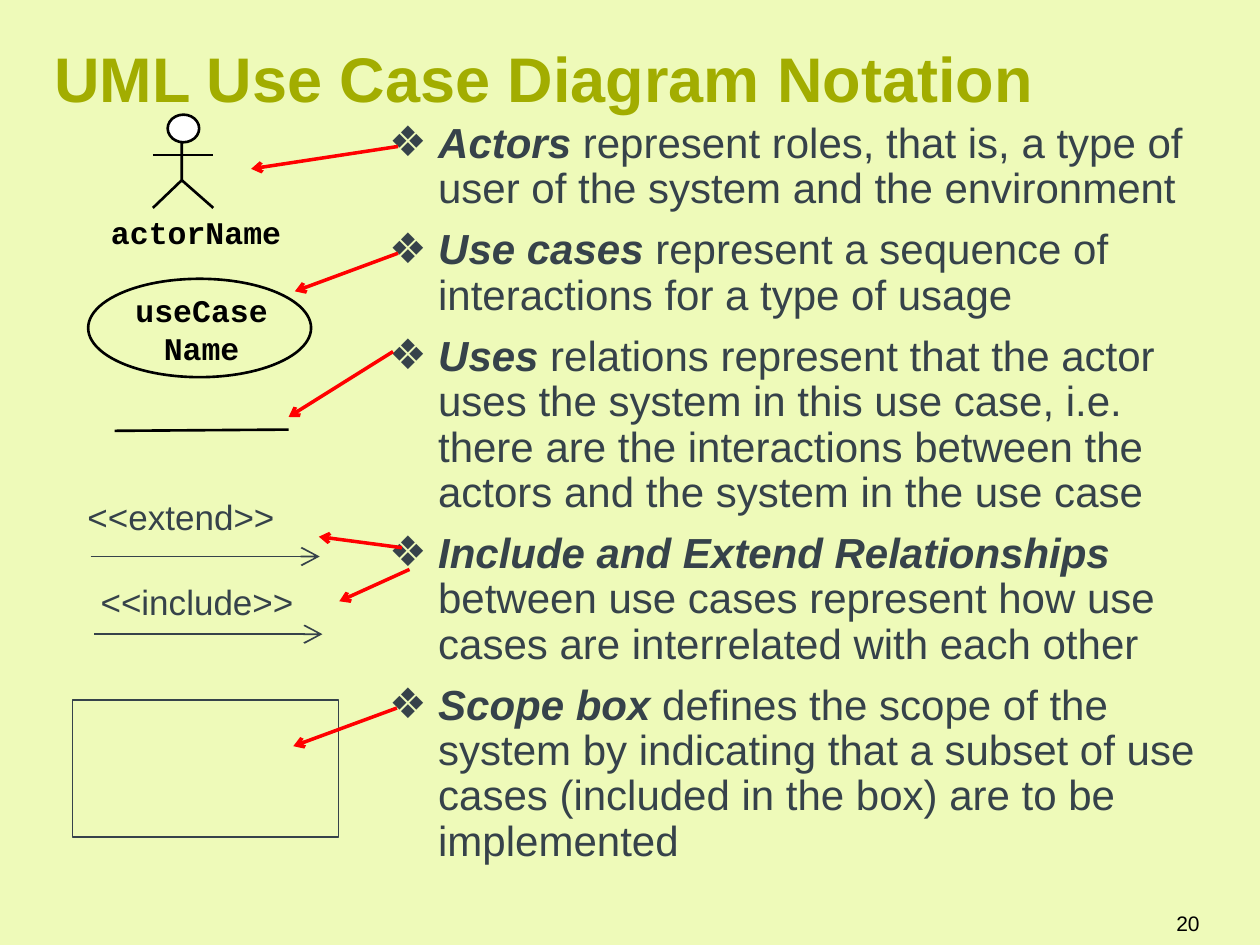
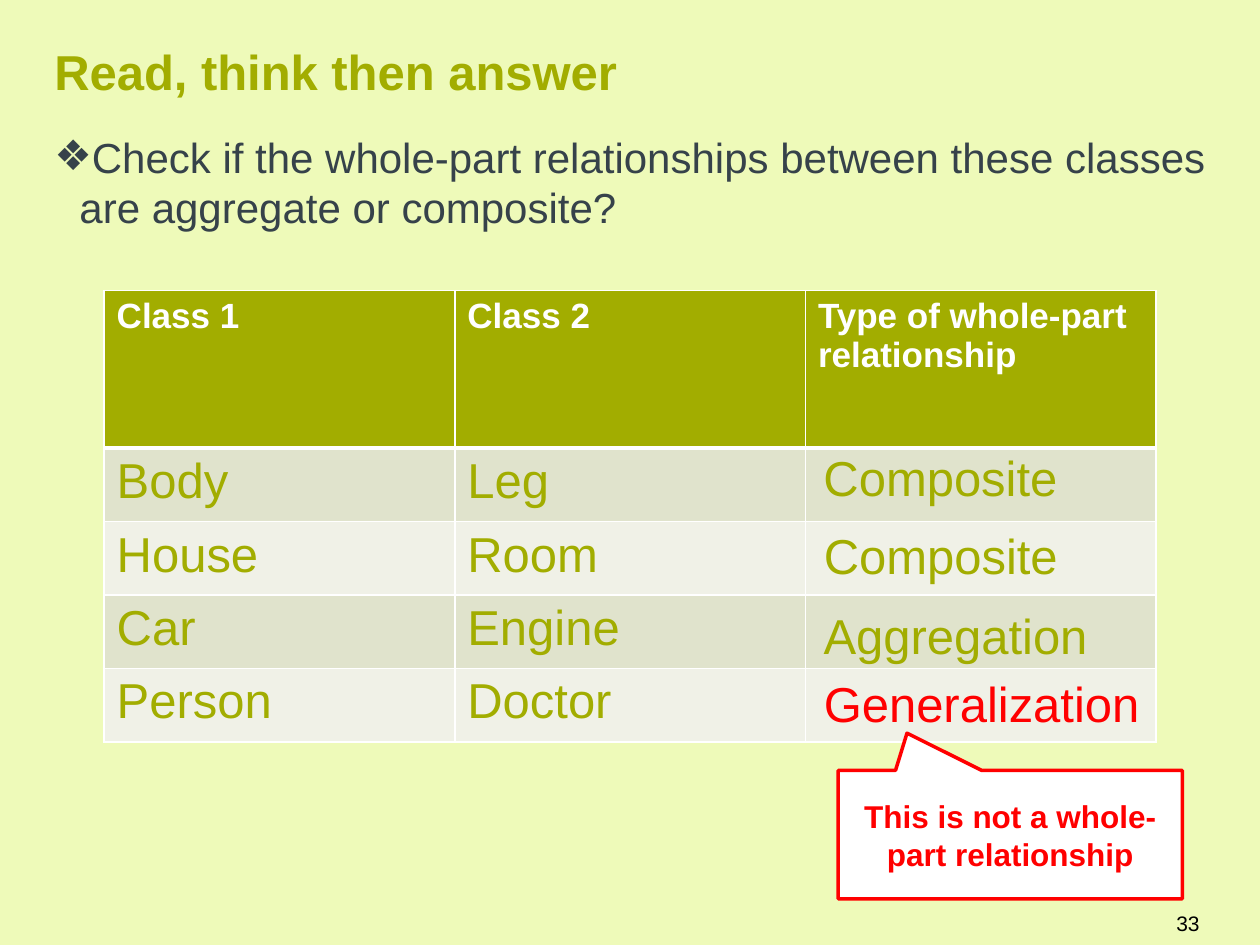
from dataclasses import dataclass

from lxml import etree
from pptx import Presentation
from pptx.dml.color import RGBColor
from pptx.enum import shapes, text
from pptx.oxml import ns
from pptx.util import Pt

COLORS = {
    "background": "EEFAB9", "accent": "A2AD00", "body": "36424A",
    "black": "000000", "white": "FFFFFF", "red": "FF0000",
    "band_dark": "E0E3CC", "band_light": "F0F1E7",
}
SANS, MONO = "Arial", "Courier New"
LEFT, TEXT_WIDTH = 31, 666
ALIGN = text.PP_ALIGN
TOP, MIDDLE = text.MSO_ANCHOR.TOP, text.MSO_ANCHOR.MIDDLE


@dataclass(frozen=True)
class Box:
    x: float
    y: float
    w: float
    h: float

    def lengths(self) -> tuple:
        return Pt(self.x), Pt(self.y), Pt(self.w), Pt(self.h)


@dataclass(frozen=True)
class Style:
    size: float
    color: str = "body"
    bold: bool = False
    font: str = SANS


@dataclass(frozen=True)
class Line:
    x1: float
    y1: float
    x2: float
    y2: float
    color: str = "black"
    width: float = 1.5
    head: str = ""


TITLE_MARGINS = (0, 3.6, 7.2, 3.6)
BOX_MARGINS = (7.2, 3.6, 7.2, 3.6)
NO_MARGINS = (0, 0, 0, 0)
BULLET_STYLE = Style(24)


@dataclass(frozen=True)
class Label:
    words: str
    box: Box
    style: Style
    align: ALIGN = ALIGN.LEFT
    margins: tuple = BOX_MARGINS
    anchor: text.MSO_ANCHOR = TOP


@dataclass(frozen=True)
class BulletLayout:
    box: Box
    indent: float
    before: float
    spacing: float


# Shared helpers
def rgb(name: str) -> RGBColor:
    return RGBColor.from_string(COLORS[name])


def paint(fill, color: str) -> None:
    fill.solid()
    fill.fore_color.rgb = rgb(color)


def place(sp, box: Box) -> None:
    sp.left, sp.top, sp.width, sp.height = box.lengths()


def format_run(r, style: Style) -> None:
    r.font.name, r.font.size, r.font.bold = style.font, Pt(style.size), style.bold
    r.font.color.rgb = rgb(style.color)


def set_frame(tf, margins: tuple, anchor) -> None:
    tf.word_wrap, tf.auto_size = True, text.MSO_AUTO_SIZE.NONE
    tf.vertical_anchor = anchor
    tf.margin_left, tf.margin_top, tf.margin_right, tf.margin_bottom = map(Pt, margins)


def write(tf, words: str, style: Style, align=ALIGN.LEFT) -> None:
    tf.text = words
    p = tf.paragraphs[0]
    p.alignment = align
    for r in p.runs:
        format_run(r, style)


def add_label(s, label: Label) -> None:
    tf = s.shapes.add_textbox(*label.box.lengths()).text_frame
    set_frame(tf, label.margins, label.anchor)
    write(tf, label.words, label.style, label.align)


def add_line(s, line: Line) -> None:
    sp = s.shapes.add_connector(shapes.MSO_CONNECTOR.STRAIGHT, Pt(line.x1), Pt(line.y1),
                                Pt(line.x2), Pt(line.y2))
    sp.line.color.rgb, sp.line.width = rgb(line.color), Pt(line.width)
    if line.head:
        etree.SubElement(sp.line._get_or_add_ln(), ns.qn("a:tailEnd"), type="arrow",
                         w=line.head, len=line.head)
    etree.SubElement(sp._element.spPr, ns.qn("a:effectLst"))


def style_shape(sp, color: str = "", width: float = 1, fill: str = "") -> None:
    sp.shadow.inherit = False
    if color:
        sp.line.color.rgb, sp.line.width = rgb(color), Pt(width)
    else:
        sp.line.fill.background()
    if fill:
        paint(sp.fill, fill)
    else:
        sp.fill.background()


def add_outline(s, kind, box: Box, color: str, width: float, fill: str = ""):
    sp = s.shapes.add_shape(kind, *box.lengths())
    style_shape(sp, color, width, fill)
    return sp


def add_path(s, points: list, close: bool):
    start, *rest = [(Pt(x), Pt(y)) for x, y in points]
    builder = s.shapes.build_freeform(*start)
    builder.add_line_segments(rest, close=close)
    return builder.convert_to_shape()


def add_slide(prs, title: str, size: float, height: float, number: str):
    s = prs.slides.add_slide(prs.slide_layouts[1])
    place(s.shapes.title, Box(LEFT, 14.8, TEXT_WIDTH, height))
    tf = s.shapes.title.text_frame
    set_frame(tf, TITLE_MARGINS, MIDDLE)
    write(tf, title, Style(size, "accent", True))
    add_label(s, Label(number, Box(581, 513, 111.6, 28.8), Style(12, "black"),
                       ALIGN.RIGHT, anchor=MIDDLE))
    return s


def add_bullets(s, items: list, layout: BulletLayout) -> None:
    """Each item is a pair: emphasised lead and plain remainder."""
    body = s.placeholders[1]
    place(body, layout.box)
    tf = body.text_frame
    set_frame(tf, TITLE_MARGINS, TOP)
    for i, (lead, rest) in enumerate(items):
        p = tf.add_paragraph() if i else tf.paragraphs[0]
        pPr = p._p.get_or_add_pPr()
        pPr.set("marL", str(Pt(layout.indent)))
        pPr.set("indent", str(-Pt(layout.indent)))
        etree.SubElement(pPr, ns.qn("a:buChar"), char="❖")
        p.line_spacing = layout.spacing
        p.space_before = Pt(layout.before if i else 0)
        for words, strong in ((lead, True), (rest, False)):
            if words:
                r = p.add_run()
                r.text = words
                format_run(r, BULLET_STYLE)
                r.font.bold = r.font.italic = strong


# Slide: use case notation
NOTATION = [
    ("Actors", " represent roles, that is, a type of user of the system and the environment"),
    ("Use cases ", "represent a sequence of interactions for a type of usage"),
    ("Uses", " relations represent that the actor uses the system in this use case, i.e. "
             "there are the interactions between the actors and the system in the use case"),
    ("Include and Extend Relationships",
     " between use cases represent how use cases are interrelated with each other"),
    ("Scope box ", "defines the scope of the system by indicating that a subset of use cases "
                   "(included in the box) are to be implemented"),
]
SYMBOL_LINES = [
    Line(103.9, 103, 121.9, 118.8),
    Line(87.4, 88.6, 121.9, 88.6),
    Line(164.9, 245.5, 65.5, 246.2),
    Line(51.8, 318, 182.7, 318, "body", 1, "lg"),
    Line(53.8, 362.4, 184.3, 362.4, "body", 1, "lg"),
]
POINTERS = [
    (227.5, 83.7, 143.5, 96.5), (227.5, 144.7, 168.5, 166.5),
    (224.6, 200.9, 164.9, 238.3), (229.7, 313, 182.2, 306.7),
    (234, 325.4, 193.9, 343.6), (226.8, 404.6, 167.6, 426.4),
]
NAME_STYLE = Style(18, "black", True, MONO)
SYMBOL_LABELS = [
    Label("actorName", Box(63.4, 121.7, 98, 21.6), NAME_STYLE, margins=NO_MARGINS),
    Label("useCase Name", Box(72, 166.6, 86.4, 44), NAME_STYLE, ALIGN.CENTER, NO_MARGINS),
    Label("<<extend>>", Box(42.9, 279.8, 143.3, 31.7), Style(20)),
    Label("<<include>>", Box(50.4, 327.9, 143.3, 31.7), Style(20)),
]


def build_notation(prs) -> None:
    s = add_slide(prs, "UML Use Case Diagram Notation", 36, 58.3, "20")
    paint(s.shapes.title.fill, "background")
    add_bullets(s, NOTATION, BulletLayout(Box(222.3, 66.2, 475.2, 455.8), 28.1, 9, 0.9))

    # Actor's body and left leg, then head, use case and scope box
    limbs = add_path(s, [(103.9, 76.3), (103.9, 103), (87.4, 118.8)], close=False)
    style_shape(limbs, "black", 1.5)
    oval = shapes.MSO_SHAPE.OVAL
    add_outline(s, oval, Box(95.8, 65.5, 18, 15.8), "black", 1.5, "white")
    add_outline(s, oval, Box(50.4, 159.3, 127.4, 56.2), "black", 1.5)
    add_outline(s, shapes.MSO_SHAPE.RECTANGLE, Box(41.5, 399.8, 151.9, 78.5), "body", 1)

    for label in SYMBOL_LABELS:
        add_label(s, label)
    for line in SYMBOL_LINES:
        add_line(s, line)
    for ends in POINTERS:
        add_line(s, Line(*ends, "red", 2, "med"))


# Slide: aggregate or composite
CLASSES = [
    ("Class 1", "Class 2", "Type of whole-part relationship"),
    ("Body", "Leg", ""),
    ("House", "Room", ""),
    ("Car", "Engine", ""),
    ("Person", "Doctor", ""),
]
ANSWERS = [
    Label("Composite", Box(463.5, 252, 168.5, 39.6), Style(28, "accent")),
    Label("Composite", Box(463.7, 296.6, 168.5, 35.3), Style(28, "accent")),
    Label("Aggregation", Box(463.5, 342.3, 169.2, 38.9), Style(28, "accent")),
    Label("Generalization", Box(463.7, 381.6, 196.6, 43.2), Style(28, "red")),
]
HEADER_HEIGHT, ROW_HEIGHT, COLUMN_WIDTH = 90, 42, 200.4


def set_borders(cell, top: float, bottom: float) -> None:
    tcPr = cell._tc.get_or_add_tcPr()
    for side, width in (("L", 1), ("R", 1), ("T", top), ("B", bottom)):
        ln = etree.SubElement(tcPr, ns.qn(f"a:ln{side}"), w=str(Pt(width)))
        fill = etree.SubElement(ln, ns.qn("a:solidFill"))
        etree.SubElement(fill, ns.qn("a:srgbClr"), val=COLORS["white"])


def add_class_table(s) -> None:
    rows, cols = len(CLASSES), len(CLASSES[0])
    box = Box(59.5, 166, cols * COLUMN_WIDTH, HEADER_HEIGHT + (rows - 1) * ROW_HEIGHT)
    table = s.shapes.add_table(rows, cols, *box.lengths()).table
    for column in table.columns:
        column.width = Pt(COLUMN_WIDTH)
    for i, words in enumerate(CLASSES):
        table.rows[i].height = Pt(ROW_HEIGHT if i else HEADER_HEIGHT)
        style = Style(28, "accent") if i else Style(20, "white", True)
        fill = ("band_dark" if i % 2 else "band_light") if i else "accent"
        for j, word in enumerate(words):
            cell = table.cell(i, j)
            set_borders(cell, 3 if i == 1 else 1, 1 if i else 3)
            paint(cell.fill, fill)
            if word:
                write(cell.text_frame, word, style)


def add_answer(s, label: Label) -> None:
    b = label.box
    right, bottom = b.x + b.w, b.y + b.h
    sp = add_path(s, [(b.x, b.y), (right, b.y), (right, bottom), (b.x, bottom)], close=True)
    style_shape(sp)
    set_frame(sp.text_frame, label.margins, label.anchor)
    write(sp.text_frame, label.words, label.style, label.align)


def build_exercise(prs) -> None:
    s = add_slide(prs, "Read, think then answer", 28, 51.2, "33")
    question = "Check if the whole-part relationships between these classes are aggregate or composite?"
    add_bullets(s, [("", question)],
                BulletLayout(Box(LEFT, 71.3, TEXT_WIDTH, 436.3), 14.4, 15, 1.0))
    add_class_table(s)
    for label in ANSWERS:
        add_answer(s, label)

    # Remark on the last answer
    callout = add_outline(s, shapes.MSO_SHAPE.RECTANGULAR_CALLOUT,
                          Box(479, 440.2, 196.6, 73.4), "red", 2, "white")
    callout.adjustments[0], callout.adjustments[1] = -0.3, -0.79
    tf = callout.text_frame
    set_frame(tf, BOX_MARGINS, MIDDLE)
    write(tf, "This is not a whole-part relationship", Style(18, "red", True), ALIGN.CENTER)


def main() -> None:
    prs = Presentation()
    prs.slide_width, prs.slide_height = Pt(720), Pt(540)
    paint(prs.slide_master.background.fill, "background")
    build_notation(prs)
    build_exercise(prs)
    prs.save("out.pptx")


if __name__ == "__main__":
    main()
